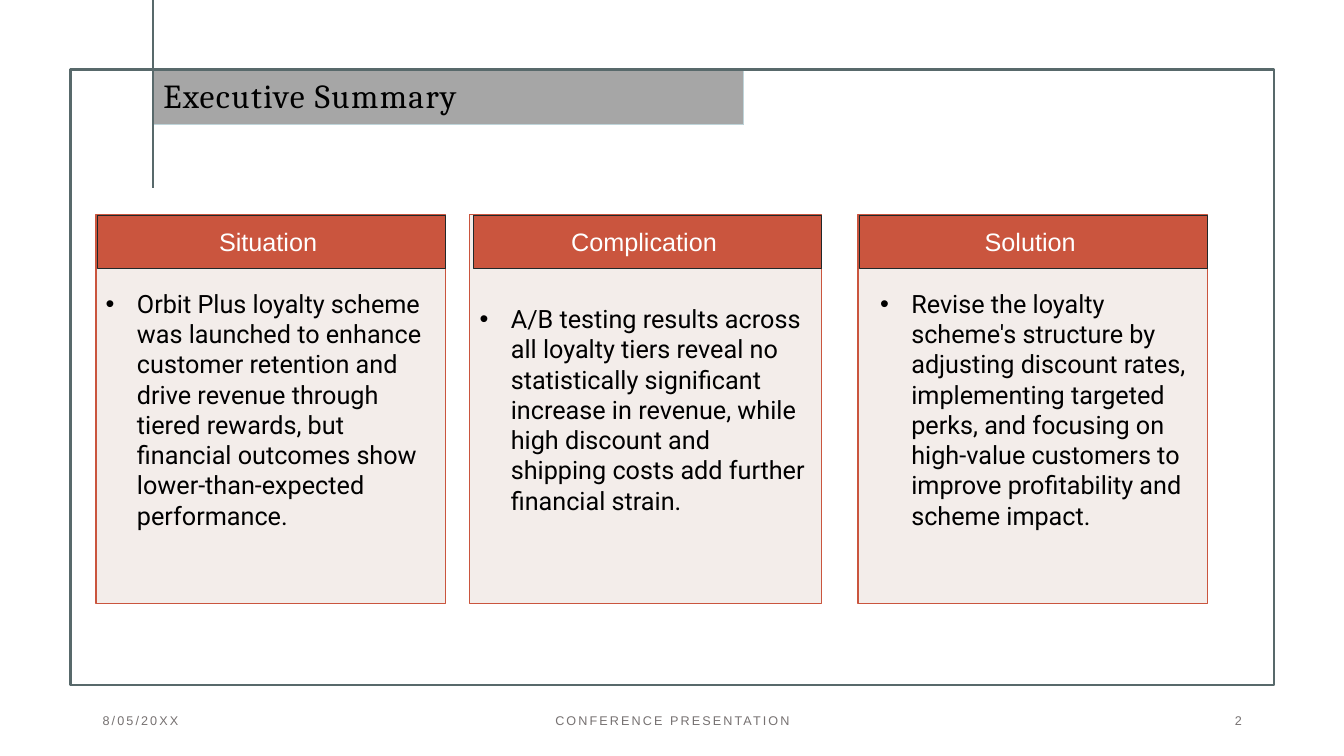
from dataclasses import dataclass

from lxml.etree import SubElement
from pptx import Presentation
from pptx.dml.color import RGBColor
from pptx.enum.shapes import MSO_CONNECTOR, MSO_SHAPE
from pptx.enum.text import MSO_ANCHOR, MSO_AUTO_SIZE, PP_ALIGN
from pptx.oxml.ns import qn
from pptx.shapes.autoshape import Shape
from pptx.slide import Slide
from pptx.text.text import TextFrame, _Paragraph
from pptx.util import Inches, Pt

WIDTH, HEIGHT = Inches(13.33), Inches(7.5)
BLACK = RGBColor(0x00, 0x00, 0x00)
WHITE = RGBColor(0xFF, 0xFF, 0xFF)
SLATE = RGBColor(0x58, 0x69, 0x6B)
CHARCOAL = RGBColor(0x20, 0x28, 0x29)
RUST = RGBColor(0xCA, 0x55, 0x3E)
CREAM = RGBColor(0xF3, 0xED, 0xEA)
GREY = RGBColor(0xA6, 0xA6, 0xA6)
PALE_BLUE = RGBColor(0xBF, 0xD4, 0xD9)
FOOTER_GREY = RGBColor(0x76, 0x71, 0x71)

RULE_X = 11.4
CARD_TOP, CARD_HEIGHT = 28.4, 51.47
HEADING_TOP, HEADING_WIDTH, HEADING_HEIGHT = 28.5, 25.9, 7
FOOTER_TOP, FOOTER_HEIGHT = 92.67, 5.33


@dataclass(frozen=True)
class Area:
    """A rectangle in percent of the slide's width and height."""
    left: float
    top: float
    width: float
    height: float

    def box(self) -> tuple[int, int, int, int]:
        """Return the rectangle as slide lengths."""
        return (across(self.left), down(self.top),
                across(self.width), down(self.height))


@dataclass(frozen=True)
class Card:
    """One column of the summary."""
    heading: str
    message: str
    left: float
    width: float = 26.03
    inset: float = 0.1


@dataclass(frozen=True)
class FooterItem:
    """One entry along the bottom of the slide."""
    wording: str
    left: float
    width: float
    align: PP_ALIGN


CARDS = [
    Card("Situation ",
         "Orbit Plus loyalty scheme was launched to enhance customer retention "
         "and drive revenue through tiered rewards, but financial outcomes "
         "show lower-than-expected performance.", 7.13),
    Card("Complication ",
         "A/B testing results across all loyalty tiers reveal no statistically "
         "significant increase in revenue, while high discount and shipping "
         "costs add further financial strain.", 34.95, width=26.18),
    Card("Solution ",
         "Revise the loyalty scheme's structure by adjusting discount rates, "
         "implementing targeted perks, and focusing on high-value customers to "
         "improve profitability and scheme impact.", 63.83, inset=0.22),
]
FOOTER = [
    FooterItem("8/05/20XX", 6.9, 22.5, PP_ALIGN.LEFT),
    FooterItem("CONFERENCE PRESENTATION", 33.15, 33.75, PP_ALIGN.CENTER),
    FooterItem("2", 70.65, 22.5, PP_ALIGN.RIGHT),
]


def across(percent: float) -> int:
    """Turn a share of the slide's width into a length."""
    return round(WIDTH * percent / 100)


def down(percent: float) -> int:
    """Turn a share of the slide's height into a length."""
    return round(HEIGHT * percent / 100)


def prepare(frame: TextFrame, align: PP_ALIGN) -> _Paragraph:
    """Set up a wrapped, vertically centred frame and return its paragraph."""
    frame.word_wrap = True
    frame.auto_size = MSO_AUTO_SIZE.NONE
    frame.vertical_anchor = MSO_ANCHOR.MIDDLE
    paragraph = frame.paragraphs[0]
    paragraph.alignment = align
    return paragraph


def add_run(paragraph: _Paragraph, wording: str, size: float, face: str,
            color: RGBColor, spacing: float = 0) -> None:
    """Add a formatted run, with letter spacing in points."""
    run = paragraph.add_run()
    run.text = wording
    run.font.size = Pt(size)
    run.font.name = face
    run.font.color.rgb = color
    if spacing:
        run._r.get_or_add_rPr().set("spc", str(round(spacing * 100)))


def add_bullet(paragraph: _Paragraph, indent: float) -> None:
    """Give a paragraph a black round bullet and a hanging indent in inches."""
    properties = paragraph._p.get_or_add_pPr()
    properties.set("marL", str(Inches(indent)))
    properties.set("indent", str(-Inches(indent)))
    bullet_color = SubElement(properties, qn("a:buClr"))
    SubElement(bullet_color, qn("a:srgbClr")).set("val", str(BLACK))
    SubElement(properties, qn("a:buFont")).set("typeface", "Arial")
    SubElement(properties, qn("a:buChar")).set("char", "•")


def add_panel(slide: Slide, area: Area, fill: RGBColor | None,
              line: RGBColor, weight: float) -> Shape:
    """Draw an outlined rectangle, filled when a fill is given."""
    panel = slide.shapes.add_shape(MSO_SHAPE.RECTANGLE, *area.box())
    panel.shadow.inherit = False
    if fill is None:
        panel.fill.background()
    else:
        panel.fill.solid()
        panel.fill.fore_color.rgb = fill
    panel.line.color.rgb = line
    panel.line.width = Pt(weight)
    return panel


def add_title(slide: Slide) -> None:
    """Place and format the slide title."""
    title = slide.shapes.title
    title.left, title.top, title.width, title.height = Area(
        RULE_X, 9.33, 43.95, 7.2).box()
    title.fill.solid()
    title.fill.fore_color.rgb = GREY
    title.line.color.rgb = PALE_BLUE
    title.line.width = Pt(0.75)
    paragraph = prepare(title.text_frame, PP_ALIGN.LEFT)
    paragraph.line_spacing = 0.9
    add_run(paragraph, "Executive Summary", 24, "Cambria", BLACK, 1)


def add_rule(slide: Slide) -> None:
    """Draw the vertical rule beside the title."""
    rule = slide.shapes.add_connector(
        MSO_CONNECTOR.STRAIGHT, across(RULE_X), 0, across(RULE_X), down(24.93))
    rule.line.color.rgb = SLATE
    rule.line.width = Pt(1.5)
    SubElement(rule._element.spPr, qn("a:effectLst"))


def add_message(slide: Slide, card: Card) -> None:
    """Draw a card's body with its bulleted message."""
    area = Area(card.left, CARD_TOP, card.width, CARD_HEIGHT)
    body = add_panel(slide, area, CREAM, RUST, 1)
    body.text_frame.margin_left = Inches(card.inset)
    paragraph = prepare(body.text_frame, PP_ALIGN.LEFT)
    add_bullet(paragraph, 0.31)
    add_run(paragraph, card.message, 18, "Roboto", BLACK)


def add_heading(slide: Slide, card: Card) -> None:
    """Draw a card's heading, flush with the card's right side."""
    left = card.left + card.width - HEADING_WIDTH
    area = Area(left, HEADING_TOP, HEADING_WIDTH, HEADING_HEIGHT)
    heading = add_panel(slide, area, RUST, CHARCOAL, 1)
    paragraph = prepare(heading.text_frame, PP_ALIGN.CENTER)
    add_run(paragraph, card.heading, 18, "Arial", WHITE)


def add_footer_item(slide: Slide, item: FooterItem) -> None:
    """Write one footer entry."""
    area = Area(item.left, FOOTER_TOP, item.width, FOOTER_HEIGHT)
    entry = slide.shapes.add_textbox(*area.box())
    paragraph = prepare(entry.text_frame, item.align)
    add_run(paragraph, item.wording, 9, "Arial", FOOTER_GREY, 1.5)


def main() -> None:
    """Build and save the executive summary slide."""
    deck = Presentation()
    deck.slide_width, deck.slide_height = WIDTH, HEIGHT
    slide = deck.slides.add_slide(deck.slide_layouts[5])
    add_title(slide)
    add_panel(slide, Area(5.25, 9.2, 89.55, 81.47), None, SLATE, 1.5)
    add_rule(slide)
    for card in CARDS:
        add_message(slide, card)
        add_heading(slide, card)
    for item in FOOTER:
        add_footer_item(slide, item)
    deck.save("out.pptx")


if __name__ == "__main__":
    main()
